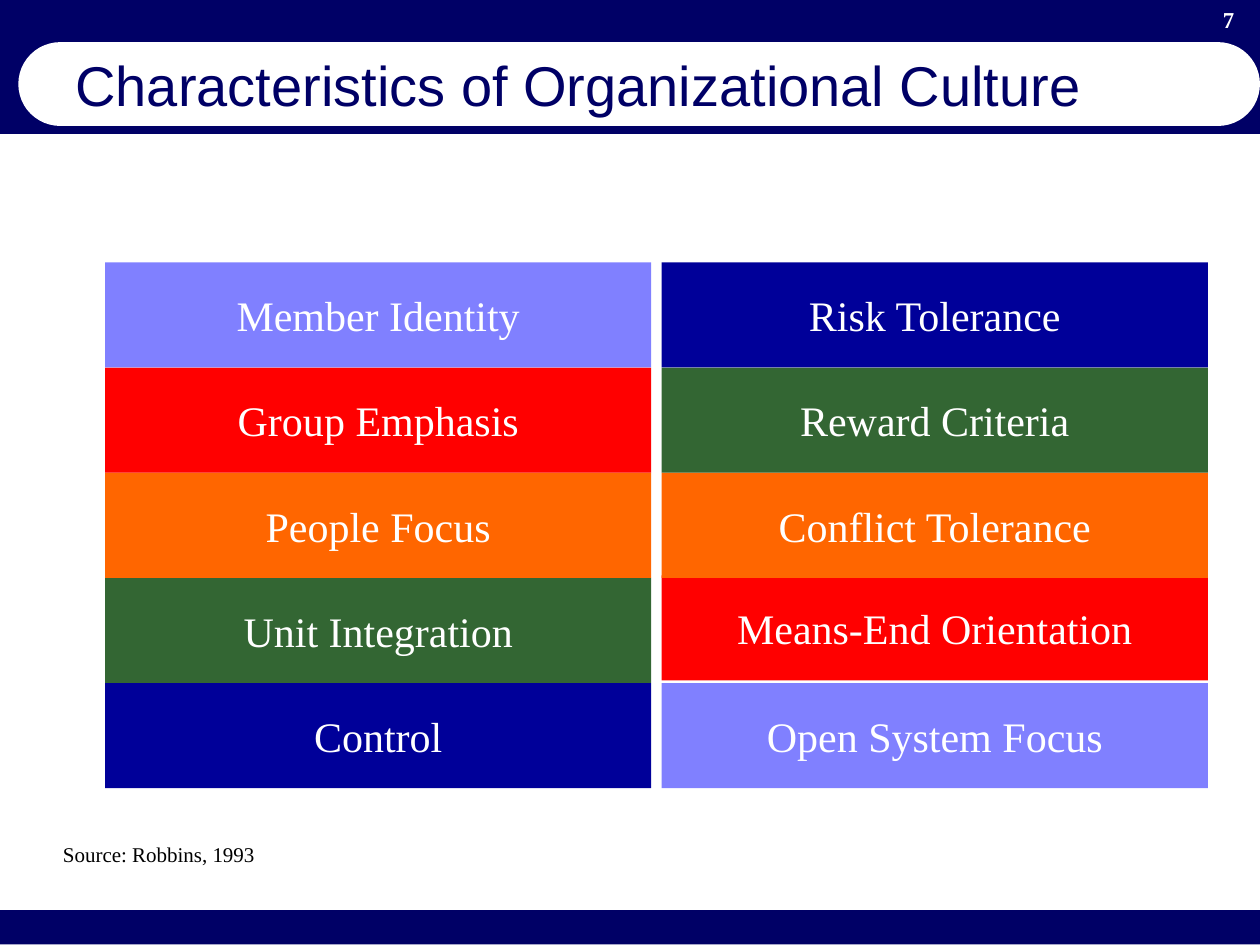
from pptx import Presentation
from pptx import util as u
from pptx.dml import color
from pptx.enum import shapes, text

NAVY, WHITE, BLACK = "000066", "FFFFFF", "000000"
PERIWINKLE, RED, ORANGE, GREEN, BLUE = "8080FF", "FF0000", "FF6600", "336633", "000099"
SERIF, SANS = "Times New Roman", "Arial"


def rgb(value):
    return color.RGBColor.from_string(value)


def write(frame, words, size=24, font=SERIF, ink=WHITE, bold=False,
          align=text.PP_ALIGN.LEFT, anchor=text.MSO_ANCHOR.TOP, wrap=False, grow=False):
    """Put one formatted line of text into a text frame."""
    frame.word_wrap = wrap
    frame.vertical_anchor = anchor
    frame.auto_size = (text.MSO_AUTO_SIZE.SHAPE_TO_FIT_TEXT if grow
                       else text.MSO_AUTO_SIZE.NONE)
    para = frame.paragraphs[0]
    para.alignment = align
    span = para.add_run()
    span.text = words
    span.font.size = u.Pt(size)
    span.font.name = font
    span.font.bold = bold
    span.font.color.rgb = rgb(ink)


class Painter:
    """Holds the current slide and draws the deck's elements in centimetres."""

    def __init__(self, page):
        self.page = page

    def panel(self, left, top, width, height, fill, kind=shapes.MSO_SHAPE.RECTANGLE):
        box = self.page.shapes.add_shape(
            kind, u.Cm(left), u.Cm(top), u.Cm(width), u.Cm(height))
        box.shadow.inherit = False
        box.fill.solid()
        box.fill.fore_color.rgb = rgb(fill)
        box.line.fill.background()
        return box

    def pill(self, left, top, width, height, fill):
        """Draw a rectangle with fully rounded ends."""
        box = self.panel(left, top, width, height, fill, shapes.MSO_SHAPE.ROUNDED_RECTANGLE)
        box.adjustments[0] = 0.5

    def tile(self, left, top, width, height, fill, words):
        box = self.panel(left, top, width, height, fill)
        write(box.text_frame, words, align=text.PP_ALIGN.CENTER,
              anchor=text.MSO_ANCHOR.MIDDLE)

    def label(self, left, top, width, height, words, **style):
        box = self.page.shapes.add_textbox(
            u.Cm(left), u.Cm(top), u.Cm(width), u.Cm(height))
        write(box.text_frame, words, **style)


def main():
    deck = Presentation()
    deck.slide_width, deck.slide_height = u.Cm(25.4), u.Cm(19.05)
    painter = Painter(deck.slides.add_slide(deck.slide_layouts[6]))

    painter.panel(0, 0, 25.4, 2.7, NAVY)
    painter.pill(0.37, 0.85, 25.03, 1.69, WHITE)
    painter.panel(0, 18.35, 25.4, 0.69, NAVY)
    painter.label(24.13, 0, 1.27, 0.8, "7", size=13, bold=True,
                  align=text.PP_ALIGN.CENTER, wrap=True, grow=True)
    painter.label(1.27, 1.06, 23.07, 1.27, "Characteristics of Organizational Culture",
                  size=32, font=SANS, ink=NAVY, anchor=text.MSO_ANCHOR.MIDDLE, wrap=True)

    # Each tile: colour, wording, upward shift
    columns = [
        [(PERIWINKLE, "Member Identity", 0), (RED, "Group Emphasis", 0),
         (ORANGE, "People Focus", 0), (GREEN, "Unit Integration", 0),
         (BLUE, "Control", 0)],
        [(BLUE, "Risk Tolerance", 0), (GREEN, "Reward Criteria", 0),
         (ORANGE, "Conflict Tolerance", 0), (RED, "Means-End Orientation", 0.05),
         (PERIWINKLE, "Open System Focus", 0)],
    ]
    first_left, first_top = 2.12, 5.29
    width, height, gap = 11.01, 2.12, 0.21
    for column, tiles in enumerate(columns):
        left = first_left + column * (width + gap)
        # Bottom row first, so that an upper tile covers the one below it
        for row, (fill, words, shift) in reversed(list(enumerate(tiles))):
            painter.tile(left, first_top + row * height - shift, width, height, fill, words)

    painter.label(1.02, 16.84, 4.37, 0.76, "Source: Robbins, 1993",
                  size=12, ink=BLACK, grow=True)
    deck.save("out.pptx")


if __name__ == "__main__":
    main()
